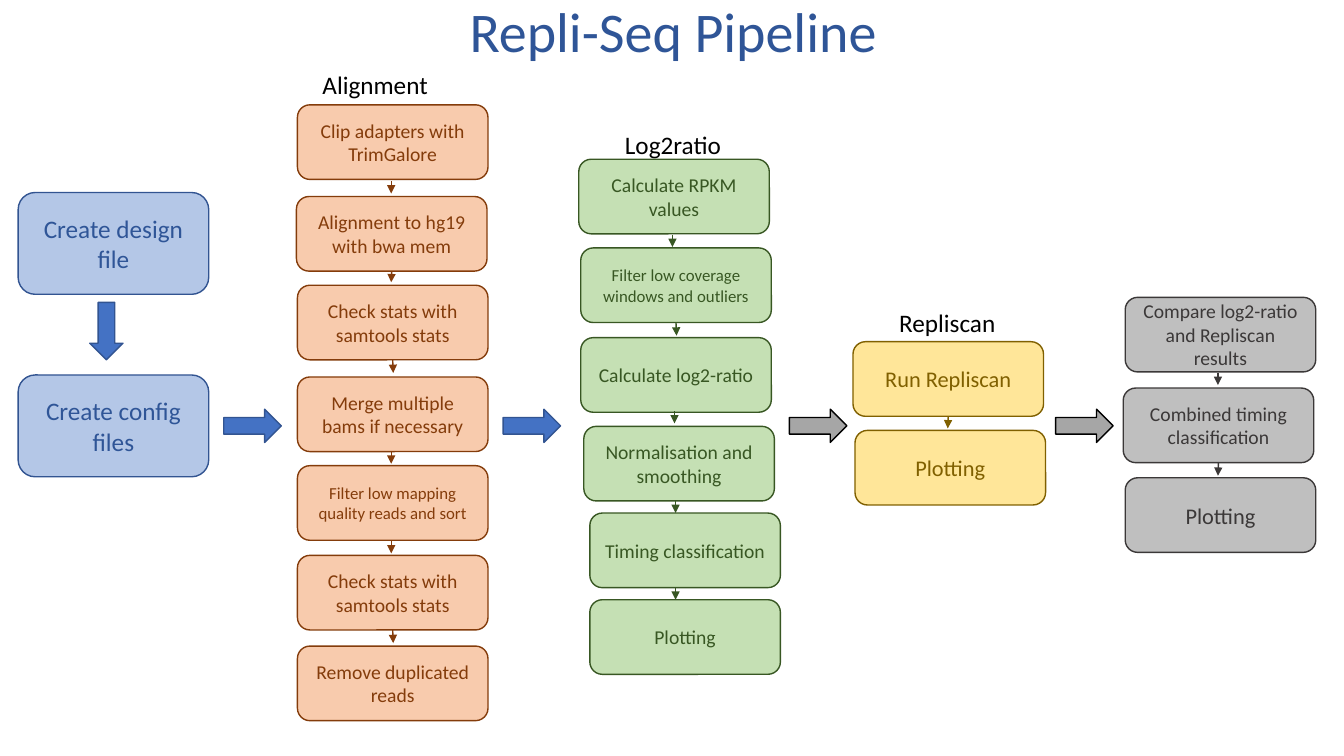
from lxml import etree
from pptx import Presentation
from pptx import util as u
from pptx.dml.color import RGBColor
from pptx.enum import shapes, text
from pptx.oxml.ns import qn

COLORS = {
    "title": "2F5597", "label": "000000",
    "blue_fill": "B4C7E7", "blue_line": "325491", "blue_text": "2F5597",
    "orange_fill": "F8CBAD", "orange_line": "843C0B", "orange_text": "843C0B",
    "green_fill": "C5E0B4", "green_line": "385723", "green_text": "385723",
    "yellow_fill": "FFE699", "yellow_line": "806000", "yellow_text": "806000",
    "gray_fill": "BFBFBF", "gray_line": "3B3838", "gray_text": "3B3838",
    "setup_fill": "4472C4", "setup_line": "325491",
    "result_fill": "A6A6A6", "result_line": "000000",
}
BOX_W, BOX_H, SETUP_H = 1.89, 0.74, 1.01
ARROW_W, ARROW_H, ARROW_TOP = 0.57, 0.33, 4.06
STEP_LEN = 0.12
JOIN_TOLERANCE = 0.01

# Each stage: color, steps (left, top, wording, size), step arrows (x, top)
STAGES = [
    ("orange", [
        (2.95, 1.04, "Clip adapters with TrimGalore", 14),
        (2.94, 1.95, "Alignment to hg19 with bwa mem", 14),
        (2.95, 2.83, "Check stats with samtools stats", 14),
        (2.95, 3.74, "Merge multiple bams if necessary", 14),
        (2.95, 4.62, "Filter low mapping quality reads and sort", 12),
        (2.95, 5.51, "Check stats with samtools stats", 14),
        (2.95, 6.41, "Remove duplicated reads", 14),
    ], [(3.88, 1.8), (3.88, 2.68), (3.9, 3.58), (3.88, 4.48), (3.88, 5.37), (3.9, 6.26)]),
    ("green", [
        (5.74, 1.58, "Calculate RPKM values", 14),
        (5.76, 2.46, "Filter low coverage windows and outliers", 12),
        (5.76, 3.35, "Calculate log2-ratio", 14),
        (5.79, 4.23, "Normalisation and smoothing", 14),
        (5.85, 5.09, "Timing classification", 14),
        (5.85, 5.95, "Plotting", 14),
    ], [(6.67, 2.33), (6.71, 3.21), (6.69, 4.08), (6.7, 4.97), (6.7, 5.83)]),
    ("yellow", [
        (8.46, 3.39, "Run Repliscan", 16),
        (8.48, 4.27, "Plotting", 16),
    ], [(9.4, 4.13)]),
    ("gray", [
        (11.16, 2.95, "Compare log2-ratio and Repliscan results", 14),
        (11.14, 3.85, "Combined timing classification", 14),
        (11.16, 4.74, "Plotting", 16),
    ], [(12.08, 3.7), (12.08, 4.6)]),
]
LABELS = [
    (3.1, 0.64, 1.26, "Alignment"),
    (6.1, 1.23, 1.17, "Log2ratio"),
    (8.82, 3.0, 1.17, "Repliscan"),
]


class Pipeline:
    def __init__(self, slide, font="Calibri", line_width=1):
        self.s = slide
        self.font = font
        self.line_width = u.Pt(line_width)

    def color(self, name):
        return RGBColor.from_string(COLORS[name])

    def set_text(self, tf, wording, size, color, align):
        p = tf.paragraphs[0]
        p.text = wording
        p.alignment = align
        p.font.name = self.font
        p.font.size = u.Pt(size)
        p.font.color.rgb = self.color(color)

    def shape(self, kind, left, top, width, height, style):
        sp = self.s.shapes.add_shape(kind, *map(u.Inches, (left, top, width, height)))
        sp.shadow.inherit = False
        sp.fill.solid()
        sp.fill.fore_color.rgb = self.color(style + "_fill")
        sp.line.color.rgb = self.color(style + "_line")
        sp.line.width = self.line_width
        return sp

    def box(self, left, top, wording, size, style, height=BOX_H):
        sp = self.shape(shapes.MSO_SHAPE.ROUNDED_RECTANGLE, left, top, BOX_W, height, style)
        tf = sp.text_frame
        tf.word_wrap = True
        tf.vertical_anchor = text.MSO_ANCHOR.MIDDLE
        self.set_text(tf, wording, size, style + "_text", text.PP_ALIGN.CENTER)
        return sp

    def block_arrow(self, left, top, style, rotation=0):
        sp = self.shape(shapes.MSO_SHAPE.RIGHT_ARROW, left, top, ARROW_W, ARROW_H, style)
        sp.rotation = rotation

    def label(self, left, top, width, height, wording, size, color):
        sp = self.s.shapes.add_textbox(*map(u.Inches, (left, top, width, height)))
        tf = sp.text_frame
        tf.word_wrap = False
        tf.auto_size = text.MSO_AUTO_SIZE.SHAPE_TO_FIT_TEXT
        self.set_text(tf, wording, size, color, text.PP_ALIGN.LEFT)

    def step_arrow(self, x, top, style, above, below):
        bottom = top + STEP_LEN
        line = self.s.shapes.add_connector(
            shapes.MSO_CONNECTOR.STRAIGHT, *map(u.Inches, (x, top, x, bottom)))
        line.line.color.rgb = self.color(style + "_line")
        line.line.width = self.line_width
        props = line._element.spPr
        etree.SubElement(props.find(qn("a:ln")), qn("a:tailEnd"), type="triangle")
        etree.SubElement(props, qn("a:effectLst"))
        # Join the ends that meet the middle of a box side
        if self.meets(above, x, top, above.top + above.height):
            line.begin_connect(above, 2)
        if self.meets(below, x, bottom, below.top):
            line.end_connect(below, 0)

    def meets(self, box, x, y, side):
        gap = u.Inches(JOIN_TOLERANCE) + 2
        middle = box.left + box.width / 2
        return abs(middle - u.Inches(x)) <= gap and abs(side - u.Inches(y)) <= gap


def main():
    prs = Presentation()
    prs.slide_width, prs.slide_height = u.Inches(13.33), u.Inches(7.5)
    pipeline = Pipeline(prs.slides.add_slide(prs.slide_layouts[6]))

    # Title and stage labels
    pipeline.label(4.56, -0.08, 4.27, 0.77, "Repli-Seq Pipeline", 40, "title")
    for left, top, width, wording in LABELS:
        pipeline.label(left, top, width, 0.4, wording, 18, "label")

    # Setup files
    for top, wording in [(1.91, "Create design file"), (3.72, "Create config files")]:
        pipeline.box(0.18, top, wording, 18, "blue", SETUP_H)
    pipeline.block_arrow(0.77, 3.12, "setup", rotation=90)

    # Stages with their steps
    for style, steps, arrows in STAGES:
        boxes = [pipeline.box(*step, style) for step in steps]
        for (x, top), above, below in zip(arrows, boxes, boxes[1:]):
            pipeline.step_arrow(x, top, style, above, below)

    # Arrows between stages
    for left, style in [(2.22, "setup"), (4.99, "setup"), (7.83, "result"), (10.47, "result")]:
        pipeline.block_arrow(left, ARROW_TOP, style)

    prs.save("out.pptx")


if __name__ == "__main__":
    main()
